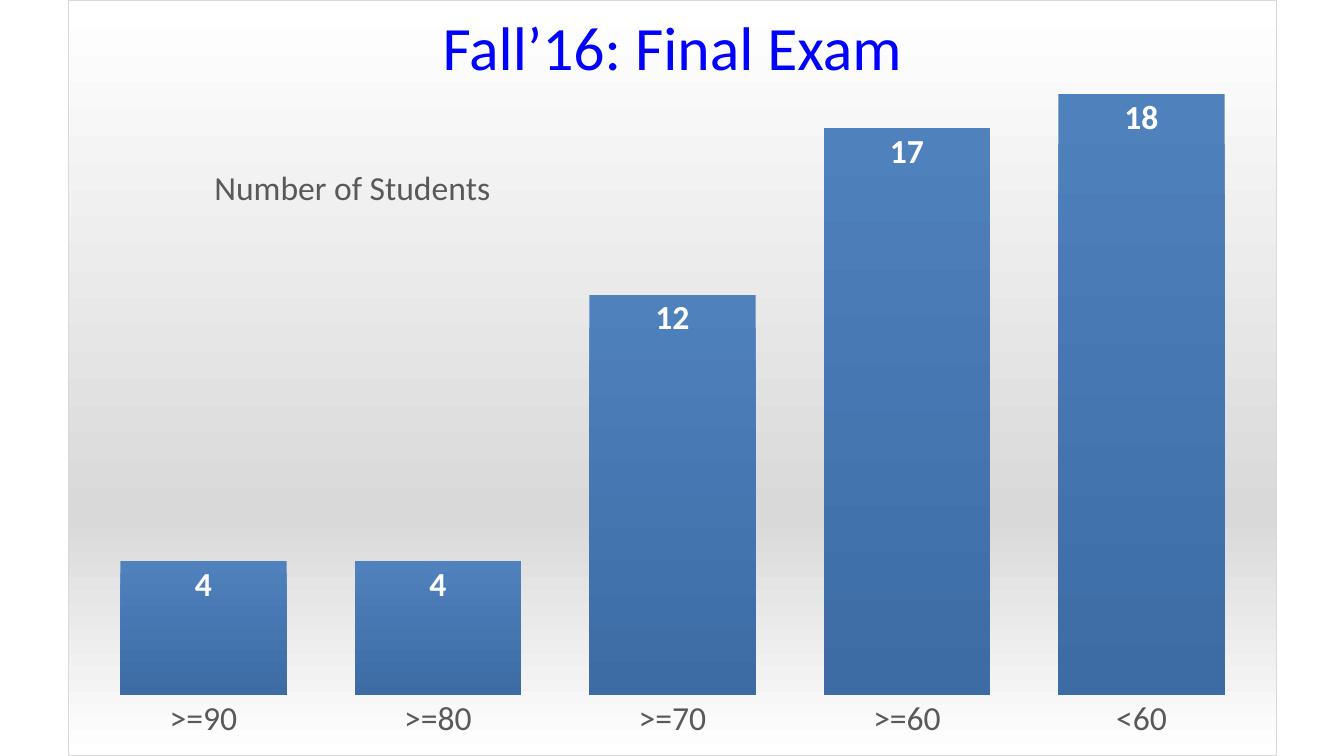
from dataclasses import dataclass

import pptx
import pptx.chart.chart
import pptx.chart.data
import pptx.dml.color
import pptx.enum.chart
import pptx.enum.text
import pptx.oxml
import pptx.oxml.ns
import pptx.slide
import pptx.text.text
import pptx.util

RGBColor = pptx.dml.color.RGBColor
Inches = pptx.util.Inches

TITLE_BLUE = RGBColor(0x00, 0x00, 0xFF)
TEXT_GRAY = RGBColor(0x59, 0x59, 0x59)
BORDER_GRAY = RGBColor(0xD9, 0xD9, 0xD9)
WHITE = RGBColor(0xFF, 0xFF, 0xFF)
BAR_TOP = RGBColor(0x4F, 0x81, 0xBD)
BAR_BOTTOM = RGBColor(0x3D, 0x6C, 0xA4)
FONT_NAME = "Calibri"


@dataclass(frozen=True)
class GradeBand:
    label: str
    students: int


@dataclass(frozen=True)
class GradientStop:
    percent: int
    color: RGBColor


GRADE_BANDS = [
    GradeBand(">=90", 4),
    GradeBand(">=80", 4),
    GradeBand(">=70", 12),
    GradeBand(">=60", 17),
    GradeBand("<60", 18),
]
BACKGROUND_STOPS = [
    GradientStop(0, WHITE),
    GradientStop(68, BORDER_GRAY),
    GradientStop(100, WHITE),
]


def format_font(font: pptx.text.text.Font, size: int, color: RGBColor, bold: bool = False) -> None:
    font.name = FONT_NAME
    font.size = pptx.util.Pt(size)
    font.bold = bold
    font.color.rgb = color


def set_layout(parent: pptx.oxml.xmlchemy.BaseOxmlElement, index: int, settings: dict[str, str | float]) -> None:
    for old_layout in parent.findall(pptx.oxml.ns.qn("c:layout")):
        parent.remove(old_layout)
    values = "".join(f'<c:{name} val="{value}"/>' for name, value in settings.items())
    parent.insert(index, pptx.oxml.parse_xml(
        f'<c:layout {pptx.oxml.ns.nsdecls("c")}><c:manualLayout>{values}</c:manualLayout></c:layout>'
    ))


def fill_chart_area(chart: pptx.chart.chart.Chart) -> None:
    stops = "".join(
        f'<a:gs pos="{stop.percent * 1000}"><a:srgbClr val="{stop.color}"/></a:gs>'
        for stop in BACKGROUND_STOPS
    )
    chart_body = chart.element.find(pptx.oxml.ns.qn("c:chart"))
    chart_body.addnext(pptx.oxml.parse_xml(
        f'<c:spPr {pptx.oxml.ns.nsdecls("c", "a")}>'
        f'<a:gradFill><a:gsLst>{stops}</a:gsLst><a:lin ang="5400000" scaled="0"/></a:gradFill>'
        f'<a:ln w="9525"><a:solidFill><a:srgbClr val="{BORDER_GRAY}"/></a:solidFill></a:ln>'
        '</c:spPr>'
    ))


def format_axes(chart: pptx.chart.chart.Chart) -> None:
    category_axis = chart.category_axis
    category_axis.major_tick_mark = pptx.enum.chart.XL_TICK_MARK.NONE
    category_axis.format.line.fill.background()
    format_font(category_axis.tick_labels.font, 24, TEXT_GRAY)
    value_axis = chart.value_axis
    value_axis.minimum_scale = 0
    value_axis.maximum_scale = 20
    value_axis.has_major_gridlines = False
    value_axis.visible = False


def format_bars(chart: pptx.chart.chart.Chart) -> None:
    plot = chart.plots[0]
    plot.gap_width = 41
    plot.vary_by_categories = False
    series = plot.series[0]
    fill = series.format.fill
    fill.gradient()
    fill.gradient_angle = 270
    for stop, color in zip(fill.gradient_stops, (BAR_TOP, BAR_BOTTOM)):
        stop.color.rgb = color
    labels = series.data_labels
    labels.show_value = True
    labels.position = pptx.enum.chart.XL_LABEL_POSITION.INSIDE_END
    format_font(labels.font, 24, WHITE, bold=True)


def format_chart_title(chart: pptx.chart.chart.Chart) -> None:
    chart.has_title = True
    chart_title = chart.chart_title
    run = chart_title.text_frame.paragraphs[0].add_run()
    run.text = "Number of Students"
    format_font(run.font, 24, TEXT_GRAY)
    title_element = chart.element.find(".//" + pptx.oxml.ns.qn("c:title"))
    set_layout(title_element, 1, {"xMode": "edge", "yMode": "edge", "x": 0.116, "y": 0.21})


def add_exam_chart(slide: pptx.slide.Slide) -> None:
    chart_data = pptx.chart.data.CategoryChartData()
    chart_data.categories = [band.label for band in GRADE_BANDS]
    chart_data.add_series("Series 1", [band.students for band in GRADE_BANDS])
    frame = slide.shapes.add_chart(
        pptx.enum.chart.XL_CHART_TYPE.COLUMN_CLUSTERED,
        Inches(0.67), Inches(0), Inches(12), Inches(7.5), chart_data,
    )
    chart = frame.chart
    chart.has_legend = False
    chart.font.name = FONT_NAME
    chart.font.size = pptx.util.Pt(10)
    format_axes(chart)
    format_bars(chart)
    format_chart_title(chart)
    fill_chart_area(chart)
    plot_area = chart.element.find(".//" + pptx.oxml.ns.qn("c:plotArea"))
    set_layout(plot_area, 0, {
        "layoutTarget": "inner", "xMode": "edge", "yMode": "edge",
        "x": 0.015, "y": 0.036, "w": 0.97, "h": 0.884,
    })
    frame.element.addnext(slide.shapes.title.element)


def format_slide_title(slide: pptx.slide.Slide) -> None:
    title = slide.shapes.title
    title.left, title.top = Inches(0.67), Inches(0)
    title.width, title.height = Inches(12), Inches(0.92)
    title.text_frame.vertical_anchor = pptx.enum.text.MSO_ANCHOR.MIDDLE
    paragraph = title.text_frame.paragraphs[0]
    paragraph.alignment = pptx.enum.text.PP_ALIGN.CENTER
    run = paragraph.add_run()
    run.text = "Fall’16: Final Exam"
    format_font(run.font, 44, TITLE_BLUE)


def main() -> None:
    presentation = pptx.Presentation()
    presentation.slide_width = Inches(13.33)
    presentation.slide_height = Inches(7.5)
    slide = presentation.slides.add_slide(presentation.slide_layouts[5])
    format_slide_title(slide)
    add_exam_chart(slide)
    presentation.save("out.pptx")


if __name__ == "__main__":
    main()
